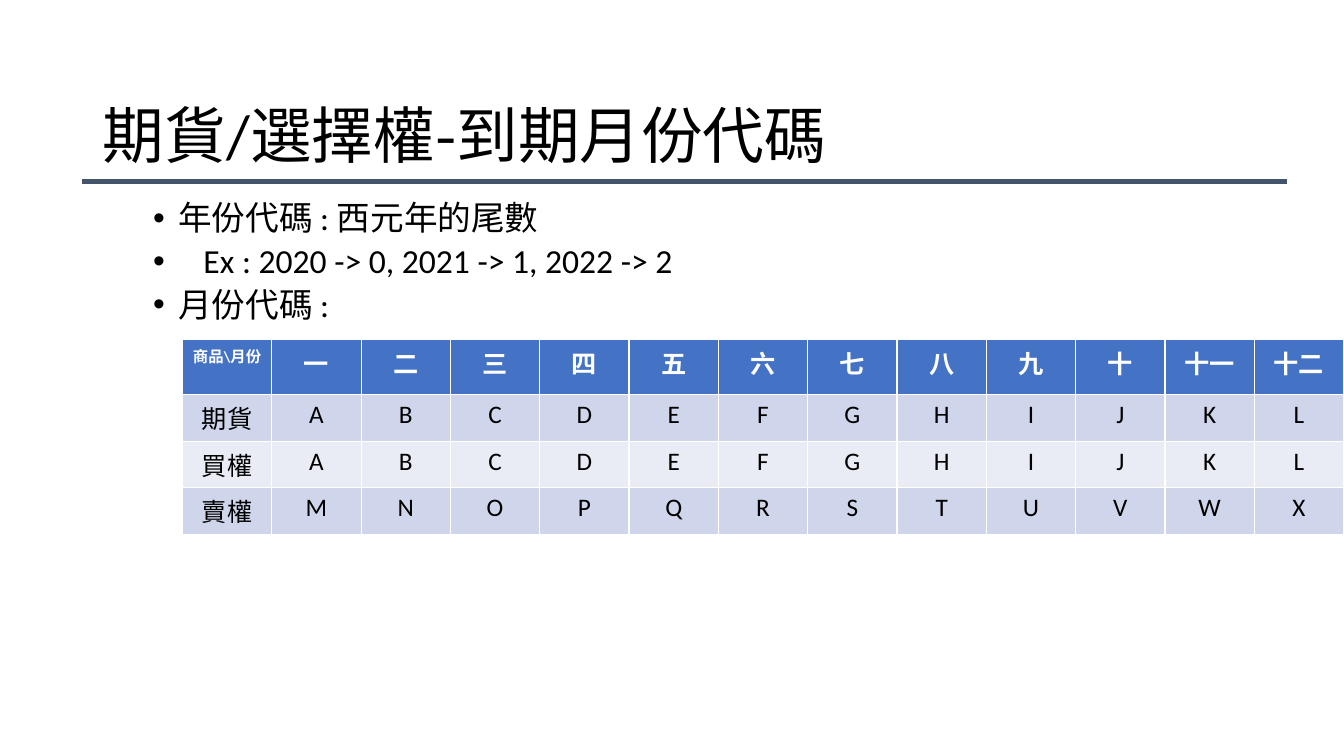
from lxml import etree
from pptx import Presentation
from pptx.dml.color import RGBColor
from pptx.enum.shapes import MSO_CONNECTOR
from pptx.enum.text import MSO_ANCHOR, MSO_AUTO_SIZE, PP_ALIGN
from pptx.oxml.ns import qn
from pptx.util import Inches, Pt

LEFT, CENTER = PP_ALIGN.LEFT, PP_ALIGN.CENTER
MIDDLE, TOP = MSO_ANCHOR.MIDDLE, MSO_ANCHOR.TOP
NO_FIT = MSO_AUTO_SIZE.NONE
STRAIGHT = MSO_CONNECTOR.STRAIGHT

WIDE, HIGH = Inches(13.33), Inches(7.5)
COLORS = {"ink": "000000", "white": "FFFFFF", "rule": "44546A",
          "head": "4472C4", "odd": "CFD5EA", "even": "E9EBF5"}
LATIN, HAN = "Calibri", "Noto Sans CJK SC"

TITLE = [("期貨/選擇權", LATIN), ("-到期月份代碼", HAN)]
POINTS = ["年份代碼 : 西元年的尾數",
          "\tEx : 2020 -> 0, 2021 -> 1, 2022 -> 2",
          "月份代碼 :"]
CODES = [
    ["商品\\月份", "一", "二", "三", "四", "五", "六",
     "七", "八", "九", "十", "十一", "十二"],
    ["期貨", *"ABCDEFGHIJKL"],
    ["買權", *"ABCDEFGHIJKL"],
    ["賣權", *"MNOPQRSTUVWX"],
]


def color(name):
    return RGBColor.from_string(COLORS[name])


def apply(item, **values):
    for name, value in values.items():
        setattr(item, name, value)


def write(para, text, size, tint="ink", face=LATIN, bold=False):
    run = para.add_run()
    run.text = text
    apply(run.font, name=face, size=Pt(size), bold=bold)
    run.font.color.rgb = color(tint)


def add_title(slide, box):
    title = slide.shapes.title
    apply(title, **dict(zip(("left", "top", "width", "height"), box)))
    apply(title.text_frame, auto_size=NO_FIT, word_wrap=True,
          vertical_anchor=MIDDLE)
    para = title.text_frame.paragraphs[0]
    apply(para, alignment=LEFT, line_spacing=0.9)
    for text, face in TITLE:
        write(para, text, 44, face=face)


def add_rule(slide, left, right, top):
    rule = slide.shapes.add_connector(STRAIGHT, left, top, right, top)
    rule.line.color.rgb = color("rule")
    rule.line.width = Pt(3)
    etree.SubElement(rule.element.spPr, qn("a:effectLst"))


def add_points(slide, box):
    frame = slide.shapes.add_textbox(*box).text_frame
    apply(frame, auto_size=NO_FIT, word_wrap=True, vertical_anchor=TOP)
    for index, text in enumerate(POINTS):
        para = frame.add_paragraph() if index else frame.paragraphs[0]
        apply(para, alignment=LEFT, line_spacing=0.9, space_before=Pt(5))
        props = para._p.get_or_add_pPr()
        props.set("marL", str(Inches(0.75)))
        props.set("indent", str(-Inches(0.25)))
        etree.SubElement(props, qn("a:buFont")).set("typeface", "Arial")
        etree.SubElement(props, qn("a:buChar")).set("char", "•")
        write(para, text, 24)


def add_codes(slide, box):
    count = len(CODES[0])
    table = slide.shapes.add_table(len(CODES), count, *box).table
    for column in table.columns:
        column.width = box[2] // count
    for row, texts in enumerate(CODES):
        head = row == 0
        fill = "head" if head else "odd" if row % 2 else "even"
        for col, text in enumerate(texts):
            cell = table.cell(row, col)
            cell.fill.solid()
            cell.fill.fore_color.rgb = color(fill)
            para = cell.text_frame.paragraphs[0]
            para.alignment = CENTER
            write(para, text, 11 if head and col == 0 else 18,
                  tint="white" if head else "ink", bold=head)


def build(deck):
    slide = deck.slides.add_slide(deck.slide_layouts[5])
    left, width = Inches(0.92), Inches(11.5)
    start = Inches(1.81)
    add_title(slide, (left, Inches(0.65), width, Inches(1.45)))
    add_rule(slide, Inches(0.81), Inches(12.76), Inches(1.8))
    add_points(slide, (left, Inches(1.95), width, Inches(4.76)))
    add_codes(slide, (start, Inches(3.37), WIDE - start, Inches(1.62)))


def main():
    deck = Presentation()
    apply(deck, slide_width=WIDE, slide_height=HIGH)
    build(deck)
    deck.save("out.pptx")


if __name__ == "__main__":
    main()
